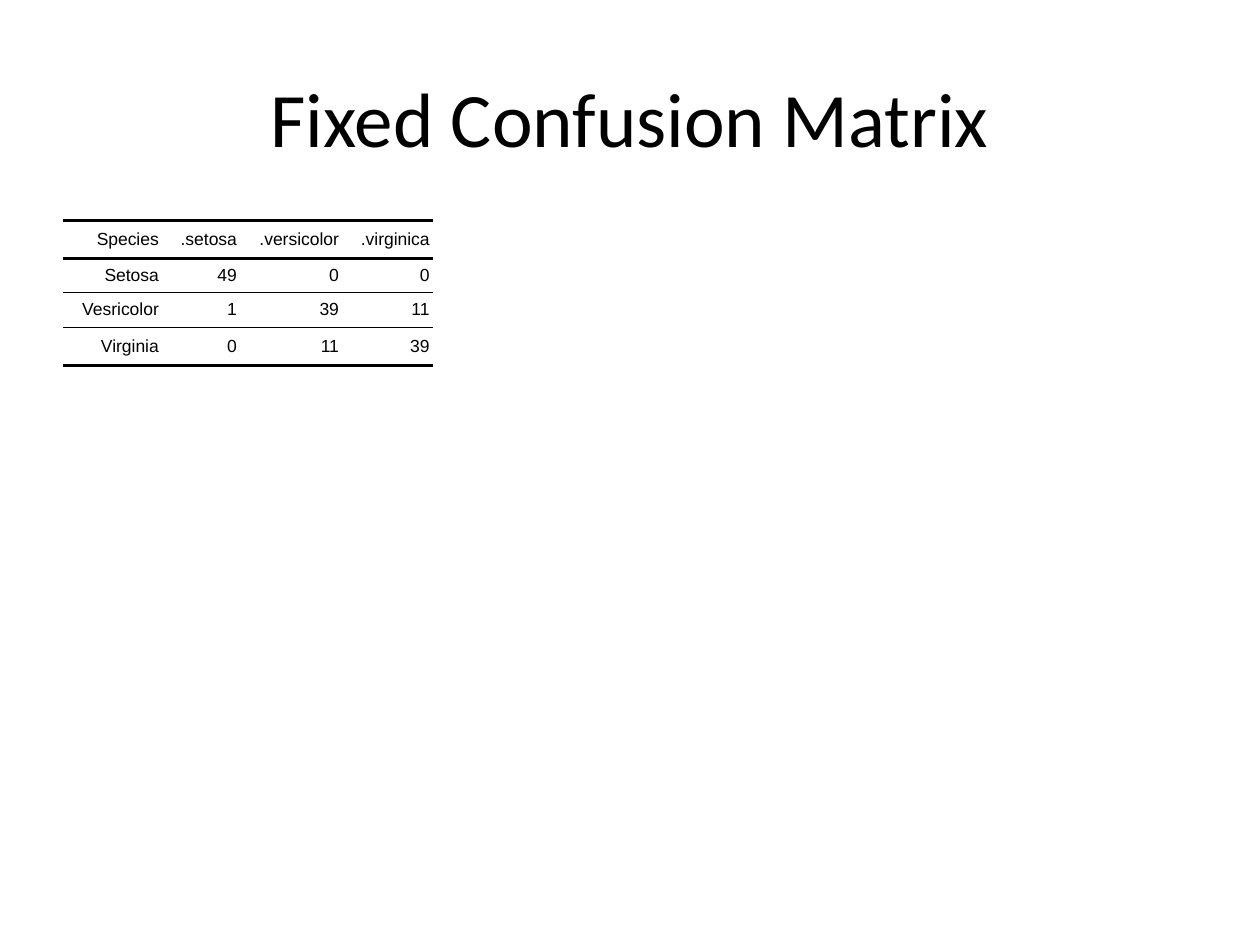
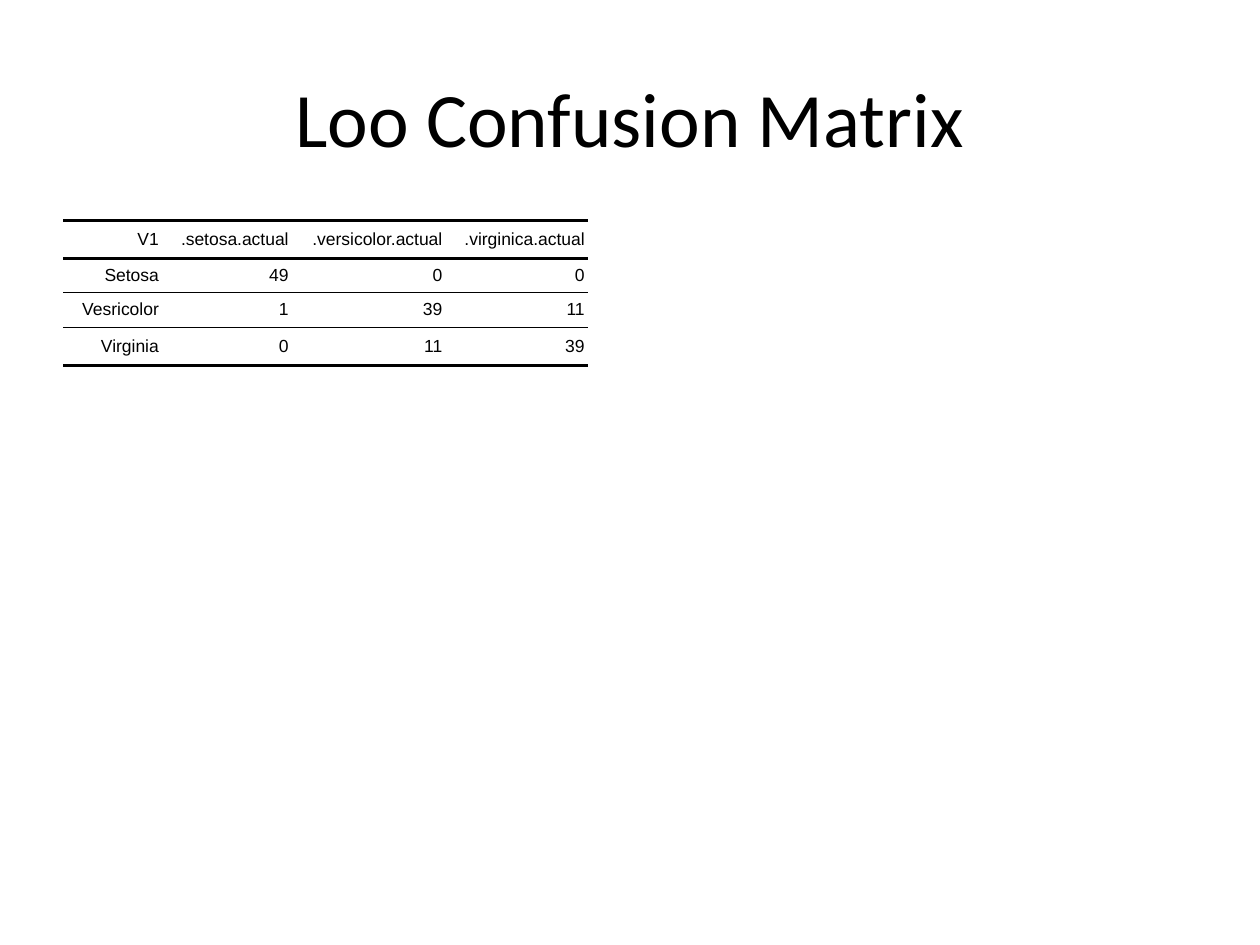
"""Build two slides that each show a titled confusion matrix."""
import lxml.etree
import pptx
import pptx.dml.color
import pptx.enum.text
import pptx.oxml.ns
import pptx.util

Inches = pptx.util.Inches
INK = "000000"
NO_STYLE = "{2D5ABB26-0587-4C30-8999-92F81FD0307C}"
ROW_HEIGHTS = [0.3, 0.27, 0.28, 0.3]
RULES = [2, 2, 1, 1, 2]
PREDICTIONS = [
    ["Setosa", "49", "0", "0"],
    ["Vesricolor", "1", "39", "11"],
    ["Virginia", "0", "11", "39"],
]
MATRICES = [
    ("Fixed Confusion Matrix", [0.79, 0.62, 0.81, 0.72],
     ["Species", ".setosa", ".versicolor", ".virginica"]),
    ("Loo Confusion Matrix", [0.79, 1.03, 1.22, 1.13],
     ["V1", ".setosa.actual", ".versicolor.actual", ".virginica.actual"]),
]


def write(frame, text, font, size, align, color=INK, space=0, indent=0):
    frame.word_wrap = True
    paragraph = frame.paragraphs[0]
    paragraph.alignment = align
    paragraph.space_before = paragraph.space_after = pptx.util.Pt(space)
    for side in ("marL", "marR"):
        paragraph._p.get_or_add_pPr().set(side, str(Inches(indent)))
    run = paragraph.add_run()
    run.text = text
    run.font.name = font
    run.font.size = pptx.util.Pt(size)
    run.font.color.rgb = pptx.dml.color.RGBColor.from_string(color)


def add_rule(cell, side, points, color=INK):
    qn = pptx.oxml.ns.qn
    properties = cell._tc.get_or_add_tcPr()
    line = lxml.etree.SubElement(properties, qn(f"a:{side}"), w=str(pptx.util.Pt(points)))
    fill = lxml.etree.SubElement(line, qn("a:solidFill"))
    lxml.etree.SubElement(fill, qn("a:srgbClr"), val=color)


deck = pptx.Presentation()
deck.slide_width, deck.slide_height = Inches(10), Inches(7.5)

for heading, column_widths, species in MATRICES:
    slide = deck.slides.add_slide(deck.slide_layouts[6])
    title = slide.shapes.add_textbox(Inches(0.5), Inches(0.3), Inches(9), Inches(1.25)).text_frame
    title.vertical_anchor = pptx.enum.text.MSO_ANCHOR.MIDDLE
    write(title, heading, font="Calibri", size=44, align=pptx.enum.text.PP_ALIGN.CENTER)

    rows = [species] + PREDICTIONS
    matrix = slide.shapes.add_table(
        len(rows), len(species), Inches(0.5), Inches(1.75),
        Inches(sum(column_widths)), Inches(sum(ROW_HEIGHTS))).table
    matrix.first_row = matrix.horz_banding = False
    matrix._tbl.tblPr.find(pptx.oxml.ns.qn("a:tableStyleId")).text = NO_STYLE
    for column, width in zip(matrix.columns, column_widths):
        column.width = Inches(width)

    for r, values in enumerate(rows):
        matrix.rows[r].height = Inches(ROW_HEIGHTS[r])
        for c, value in enumerate(values):
            cell = matrix.cell(r, c)
            cell.margin_left = cell.margin_right = cell.margin_top = cell.margin_bottom = 0
            cell.vertical_anchor = pptx.enum.text.MSO_ANCHOR.MIDDLE
            add_rule(cell, "lnT", RULES[r])
            add_rule(cell, "lnB", RULES[r + 1])
            cell.fill.background()
            write(cell.text_frame, value, font="Arial", size=10,
                  align=pptx.enum.text.PP_ALIGN.RIGHT, space=2, indent=0.03)

deck.save("out.pptx")
